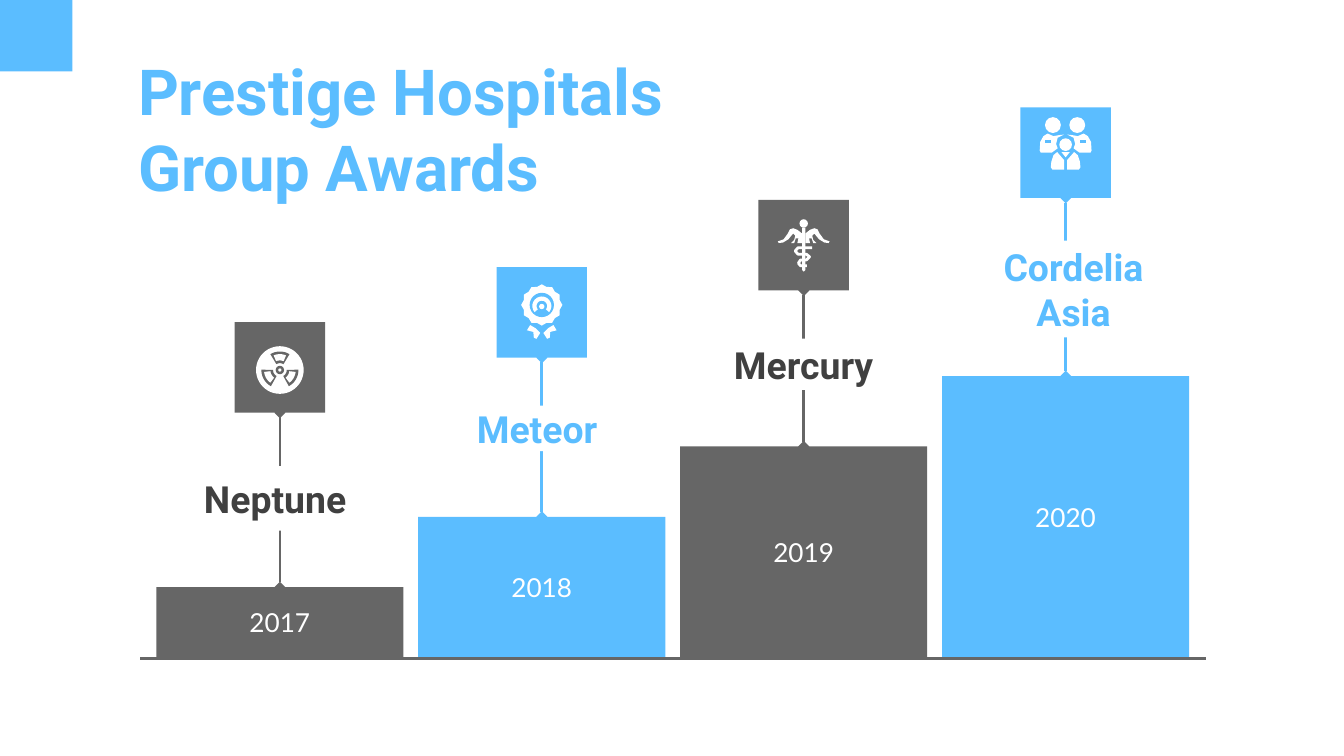
from math import cos, radians, sin

from lxml import etree
from pptx import Presentation
from pptx.dml.color import RGBColor
from pptx.enum.shapes import MSO_CONNECTOR, MSO_SHAPE
from pptx.enum.text import MSO_ANCHOR, MSO_AUTO_SIZE, PP_ALIGN
from pptx.oxml.ns import qn
from pptx.util import Cm, Pt

RECTANGLE, OVAL, STAR = MSO_SHAPE.RECTANGLE, MSO_SHAPE.OVAL, MSO_SHAPE.STAR_12_POINT
STRAIGHT = MSO_CONNECTOR.STRAIGHT
TOP, MIDDLE = MSO_ANCHOR.TOP, MSO_ANCHOR.MIDDLE
LEFT, CENTER = PP_ALIGN.LEFT, PP_ALIGN.CENTER
BLUE = RGBColor(0x5B, 0xBD, 0xFF)
GRAY = RGBColor(0x66, 0x66, 0x66)
DARK = RGBColor(0x40, 0x40, 0x40)
WHITE = RGBColor(0xFF, 0xFF, 0xFF)

# Content: lengths in centimetres
TITLE = "Prestige Hospitals\vGroup Awards"
AWARDS = [
    {"year": "2017", "name": "Neptune ", "color": GRAY, "text": DARK, "icon": "radiation",
     "tile_top": 6.09, "label": (0, 8.81, 3.56, 1.22), "line": 0.75},
    {"year": "2018", "name": "Meteor ", "color": BLUE, "text": BLUE, "icon": "rosette",
     "tile_top": 5.05, "label": (0, 7.67, 2.9, 0.86), "line": 1.5},
    {"year": "2019", "name": "Mercury", "color": GRAY, "text": DARK, "icon": "caduceus",
     "tile_top": 3.78, "label": (0, 6.4, 2.9, 0.97), "line": 1.5},
    {"year": "2020", "name": "Cordelia Asia", "color": BLUE, "text": BLUE, "icon": "family",
     "tile_top": 2.03, "label": (0.15, 4.55, 3.6, 1.83), "line": 1.5},
]
FIRST_CENTER, COLUMN_PITCH = 5.29, 4.95
BAR_WIDTH, BAR_STEP, BASELINE = 4.67, 1.33, 12.43
TILE = 1.71


def sector(inner, outer, middle, span, y=0):
    """Outline of a ring sector; angles in degrees, clockwise from the right."""
    angles = [radians(middle - span / 2 + span * i / 16) for i in range(17)]
    arc = [(outer, a) for a in angles] + [(inner, a) for a in reversed(angles)]
    return [(r * cos(a), y + r * sin(a)) for r, a in arc]


def mirrored(points):
    return [(-x, y) for x, y in points]


# Icon outlines, measured from the tile centre
RIBBON = [(.22, .24), (.12, .3), (.03, .39), (.1, .5), (.15, .48), (.16, .37), (.28, .34)]
WING = [(.03, -.22), (.12, -.29), (.2, -.32), (.26, -.3), (.3, -.22), (.38, -.11),
        (.49, -.07), (.47, -.04), (.39, -.05), (.29, -.11), (.2, -.22), (.16, -.18),
        (.18, -.1), (.24, -.04), (.18, -.04), (.15, -.13), (.1, -.13), (.12, -.04),
        (.03, -.04)]
STAFF = [(-.03, -.33), (.03, -.33), (.03, .47), (0, .5), (-.03, .47)]
SNAKE = [(.16, .05), (-.11, .05), (-.16, .11), (-.11, .17), (.05, .17), (.11, .22),
         (.05, .28), (-.06, .28), (-.1, .34), (-.06, .39), (.06, .39)]
PARENT = [(.03, -.34), (.12, -.33), (.23, -.31), (.34, -.36), (.42, -.31), (.48, -.2),
          (.49, -.04), (.47, 0), (.26, 0), (.15, -.08), (.18, -.16), (.15, -.28)]
SLEEVE = [(.27, -.23), (.39, -.23), (.39, -.18), (.27, -.18)]
CHILD = [(.16, -.01), (.03, .14), (.03, .32), (.25, .32), (.28, .28), (.27, .17), (.23, .05)]
COLLAR = [(-.08, -.01), (0, .09), (.08, -.01)]


def paint(shape, color):
    shape.shadow.inherit = False
    shape.fill.solid()
    shape.fill.fore_color.rgb = color
    shape.line.fill.background()
    return shape


def add_box(x, y, width, height, color, kind=RECTANGLE):
    shape = slide.shapes.add_shape(kind, Cm(x), Cm(y), Cm(width), Cm(height))
    return paint(shape, color)


def add_circle(x, y, radius, color, kind=OVAL):
    return add_box(x - radius, y - radius, 2 * radius, 2 * radius, color, kind)


def add_outline(x, y, points, closed=True):
    places = [(Cm(x + dx), Cm(y + dy)) for dx, dy in points]
    builder = slide.shapes.build_freeform(*places[0])
    builder.add_line_segments(places[1:], close=closed)
    return builder.convert_to_shape()


def add_polygons(x, y, color, *outlines):
    for points in outlines:
        paint(add_outline(x, y, points), color)


def write(shape, text, font, size, color, bold=False, align=CENTER, anchor=MIDDLE, inset=0):
    frame = shape.text_frame
    frame.word_wrap = True
    frame.auto_size = MSO_AUTO_SIZE.NONE
    frame.vertical_anchor = anchor
    frame.margin_left = frame.margin_right = frame.margin_top = frame.margin_bottom = Cm(inset)
    frame.text = text
    paragraph = frame.paragraphs[0]
    paragraph.alignment = align
    for run in paragraph.runs:
        run.font.name, run.font.size, run.font.bold = font, Pt(size), bold
        run.font.color.rgb = color


def add_line(x1, y1, x2, y2, color, width, ends=None):
    line = slide.shapes.add_connector(STRAIGHT, Cm(x1), Cm(y1), Cm(x2), Cm(y2))
    line.line.color.rgb = color
    line.line.width = Pt(width)
    if ends:
        for tag in ("a:headEnd", "a:tailEnd"):
            etree.SubElement(line.line._get_or_add_ln(), qn(tag), type=ends)
    etree.SubElement(line._element.spPr, qn("a:effectLst"))


def draw_radiation(x, y, color):
    y += 0.05
    add_circle(x, y, 0.45, WHITE)
    for angle in (30, 150, 270):
        add_polygons(x, y, color, sector(0.13, 0.35, angle, 62))
        add_polygons(x, y, WHITE, sector(0.18, 0.3, angle, 46))
    add_circle(x, y, 0.08, color)
    add_circle(x, y, 0.03, WHITE)


def draw_rosette(x, y, color):
    seal = add_circle(x, y - 0.14, 0.39, WHITE, STAR)
    seal.adjustments[0] = 0.45
    add_circle(x, y - 0.14, 0.23, color)
    add_polygons(x, y, WHITE, sector(0.1, 0.18, 270, 260, -0.12), RIBBON, mirrored(RIBBON))
    add_circle(x, y - 0.11, 0.05, WHITE)


def draw_caduceus(x, y, color):
    add_circle(x, y - 0.41, 0.08, WHITE)
    add_polygons(x, y, WHITE, WING, mirrored(WING), STAFF)
    snake = add_outline(x, y, SNAKE, closed=False)
    snake.shadow.inherit = False
    snake.fill.background()
    snake.line.color.rgb = WHITE
    snake.line.width = Pt(1.5)


def draw_family(x, y, color):
    add_polygons(x, y, WHITE, PARENT, mirrored(PARENT), CHILD, mirrored(CHILD), COLLAR)
    add_polygons(x, y, color, SLEEVE, mirrored(SLEEVE))
    for dx, dy, radius in ((-0.24, -0.52, 0.15), (0.22, -0.52, 0.15), (0, -0.15, 0.12)):
        add_circle(x + dx, y + dy, radius, WHITE)


ICONS = {"radiation": draw_radiation, "rosette": draw_rosette,
         "caduceus": draw_caduceus, "family": draw_family}

presentation = Presentation()
presentation.slide_width, presentation.slide_height = Cm(25.4), Cm(14.29)
slide = presentation.slides.add_slide(presentation.slide_layouts[5])

# Corner square and title
add_box(0, 0, 1.37, 1.35, BLUE)
title = slide.shapes.title
title.left, title.top, title.width, title.height = Cm(2.36), Cm(0.74), Cm(10.44), Cm(3.15)
write(title, TITLE, "Roboto", 34, BLUE, True, LEFT, TOP, 0.25)

# One column per award: bar, stem, icon tile, name
for index, award in enumerate(AWARDS):
    center = FIRST_CENTER + index * COLUMN_PITCH
    height = BAR_STEP * (index + 1)
    bar_top = BASELINE - height
    color, tile_top = award["color"], award["tile_top"]
    bar = add_box(center - BAR_WIDTH / 2, bar_top, BAR_WIDTH, height, color)
    write(bar, award["year"], "Lato", 14, WHITE)
    add_line(center, bar_top, center, tile_top + TILE, color, award["line"], "diamond")
    add_box(center - TILE / 2, tile_top, TILE, TILE, color)
    ICONS[award["icon"]](center, tile_top + TILE / 2, color)
    shift, top, width, label_height = award["label"]
    label = add_box(center + shift - width / 2, top, width, label_height, WHITE)
    write(label, award["name"], "Roboto", 20, award["text"], True)

# Baseline
add_line(2.65, 12.44, 22.79, 12.44, GRAY, 1.5)

presentation.save("out.pptx")
